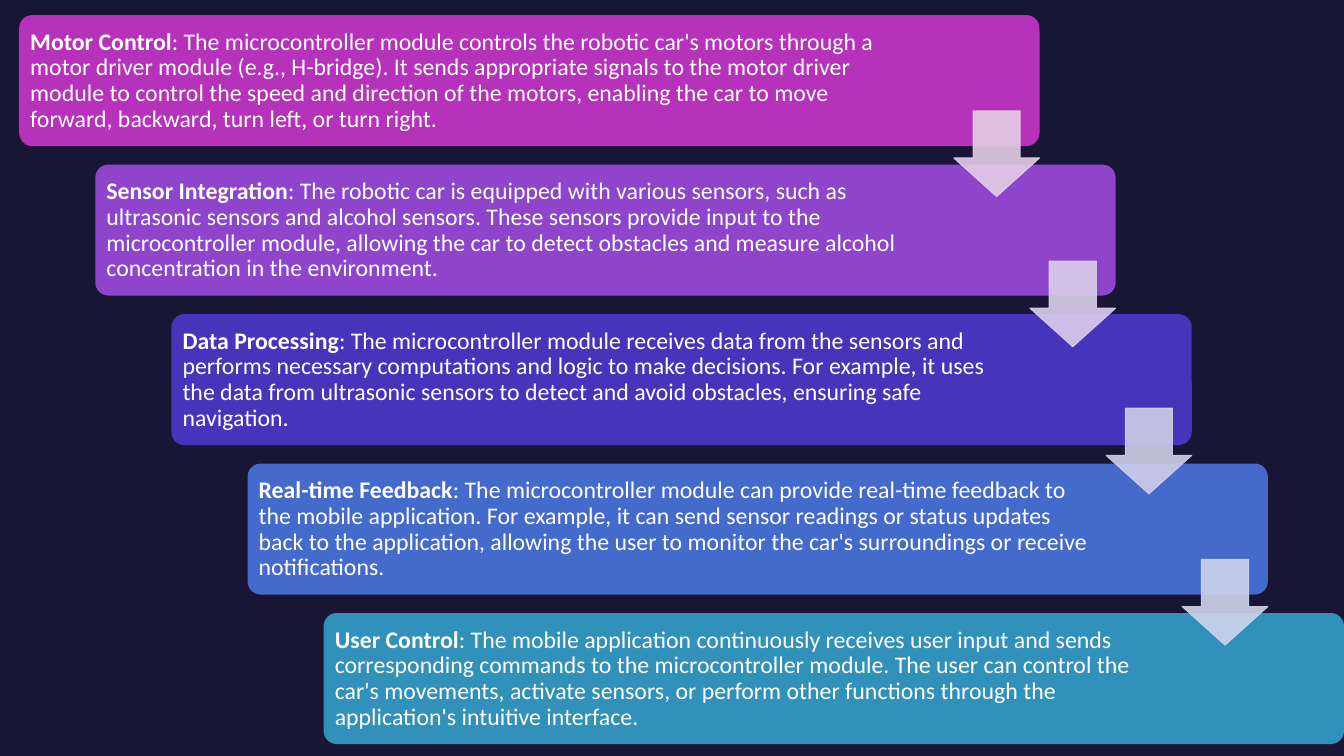
from dataclasses import dataclass

from lxml import etree
from pptx import Presentation
from pptx.dml.color import RGBColor
from pptx.enum.shapes import MSO_SHAPE
from pptx.enum.text import MSO_ANCHOR, PP_ALIGN
from pptx.oxml.ns import qn
from pptx.util import Inches, Pt

ROUNDED = MSO_SHAPE.ROUNDED_RECTANGLE
DOWN_ARROW = MSO_SHAPE.DOWN_ARROW
MIDDLE = MSO_ANCHOR.MIDDLE
LEFT = PP_ALIGN.LEFT


@dataclass(frozen=True)
class Theme:
    background: str = "181634"
    text: str = "FFFFFF"
    cards: tuple = ("B632BA", "8F44CC", "4734BB", "446ACC", "3291BA")
    arrows: tuple = ("E5CEE7", "DBCFEC", "CFCEE7", "CFD4EC")
    arrow_opacity: int = 90
    font: str = "Calibri"
    body_size: int = 17
    arrow_line: float = 0.75


THEME = Theme()

STEPS = [
    ("Motor Control",
     ": The microcontroller module controls the robotic car's motors through a motor driver "
     "module (e.g., H-bridge). It sends appropriate signals to the motor driver module to "
     "control the speed and direction of the motors, enabling the car to move forward, "
     "backward, turn left, or turn right."),
    ("Sensor Integration",
     ": The robotic car is equipped with various sensors, such as ultrasonic sensors and "
     "alcohol sensors. These sensors provide input to the microcontroller module, allowing "
     "the car to detect obstacles and measure alcohol concentration in the environment."),
    ("Data Processing",
     ": The microcontroller module receives data from the sensors and performs necessary "
     "computations and logic to make decisions. For example, it uses the data from "
     "ultrasonic sensors to detect and avoid obstacles, ensuring safe navigation."),
    ("Real-time Feedback",
     ": The microcontroller module can provide real-time feedback to the mobile "
     "application. For example, it can send sensor readings or status updates back to the "
     "application, allowing the user to monitor the car's surroundings or receive "
     "notifications."),
    ("User Control",
     ": The mobile application continuously receives user input and sends corresponding "
     "commands to the microcontroller module. The user can control the car's movements, "
     "activate sensors, or perform other functions through the application's intuitive "
     "interface."),
]

FIRST_LEFT, FIRST_TOP = 0.19, 0.15
STEP_RIGHT, STEP_DOWN = 0.755, 1.483
CARD_WIDTH, CARD_HEIGHT = 10.12, 1.3
TEXT_OFFSET, TEXT_HEIGHT, TEXT_INSET = 0.04, 1.23, 0.07
FIRST_TEXT_WIDTH, TEXT_WIDTH = 8.57, 8.45
ARROW_SIZE = 0.85
ARROW_TOPS = (1.1, 2.59, 4.05, 5.55)


def add_filled_shape(kind, left, top, width, height, color, adjustments):
    shape = slide.shapes.add_shape(
        kind, Inches(left), Inches(top), Inches(width), Inches(height))
    shape.shadow.inherit = False
    shape.fill.solid()
    shape.fill.fore_color.rgb = RGBColor.from_string(color)
    shape.line.fill.background()
    for i, value in enumerate(adjustments):
        shape.adjustments[i] = value
    return shape


prs = Presentation()
prs.slide_width = Inches(13.33)
prs.slide_height = Inches(7.5)
slide = prs.slides.add_slide(prs.slide_layouts[6])
slide.background.fill.solid()
slide.background.fill.fore_color.rgb = RGBColor.from_string(THEME.background)

# Staircase of step cards
for i, (heading, detail) in enumerate(STEPS):
    left = FIRST_LEFT + i * STEP_RIGHT
    top = FIRST_TOP + i * STEP_DOWN
    add_filled_shape(ROUNDED, left, top, CARD_WIDTH, CARD_HEIGHT, THEME.cards[i], [0.1])

    text_width = FIRST_TEXT_WIDTH if i == 0 else TEXT_WIDTH
    description = slide.shapes.add_textbox(
        Inches(left + TEXT_OFFSET), Inches(top + TEXT_OFFSET),
        Inches(text_width), Inches(TEXT_HEIGHT)).text_frame
    description.word_wrap = True
    description.vertical_anchor = MIDDLE
    description.margin_left = description.margin_right = Inches(TEXT_INSET)
    description.margin_top = description.margin_bottom = Inches(TEXT_INSET)
    paragraph = description.paragraphs[0]
    paragraph.alignment = LEFT
    paragraph.line_spacing = 0.9
    for words, bold in ((heading, True), (detail, False)):
        run = paragraph.add_run()
        run.text = words
        run.font.name = THEME.font
        run.font.size = Pt(THEME.body_size)
        run.font.bold = bold
        run.font.color.rgb = RGBColor.from_string(THEME.text)

# Arrows end flush with the right edge of the card they leave
for i, (color, top) in enumerate(zip(THEME.arrows, ARROW_TOPS)):
    left = FIRST_LEFT + i * STEP_RIGHT + CARD_WIDTH - ARROW_SIZE
    arrow = add_filled_shape(
        DOWN_ARROW, left, top, ARROW_SIZE, ARROW_SIZE, color, [0.55, 0.45])
    arrow.line.color.rgb = RGBColor.from_string(color)
    arrow.line.width = Pt(THEME.arrow_line)
    for rgb in arrow._element.spPr.iter(qn("a:srgbClr")):
        etree.SubElement(rgb, qn("a:alpha"), val=str(THEME.arrow_opacity * 1000))

prs.save("out.pptx")
